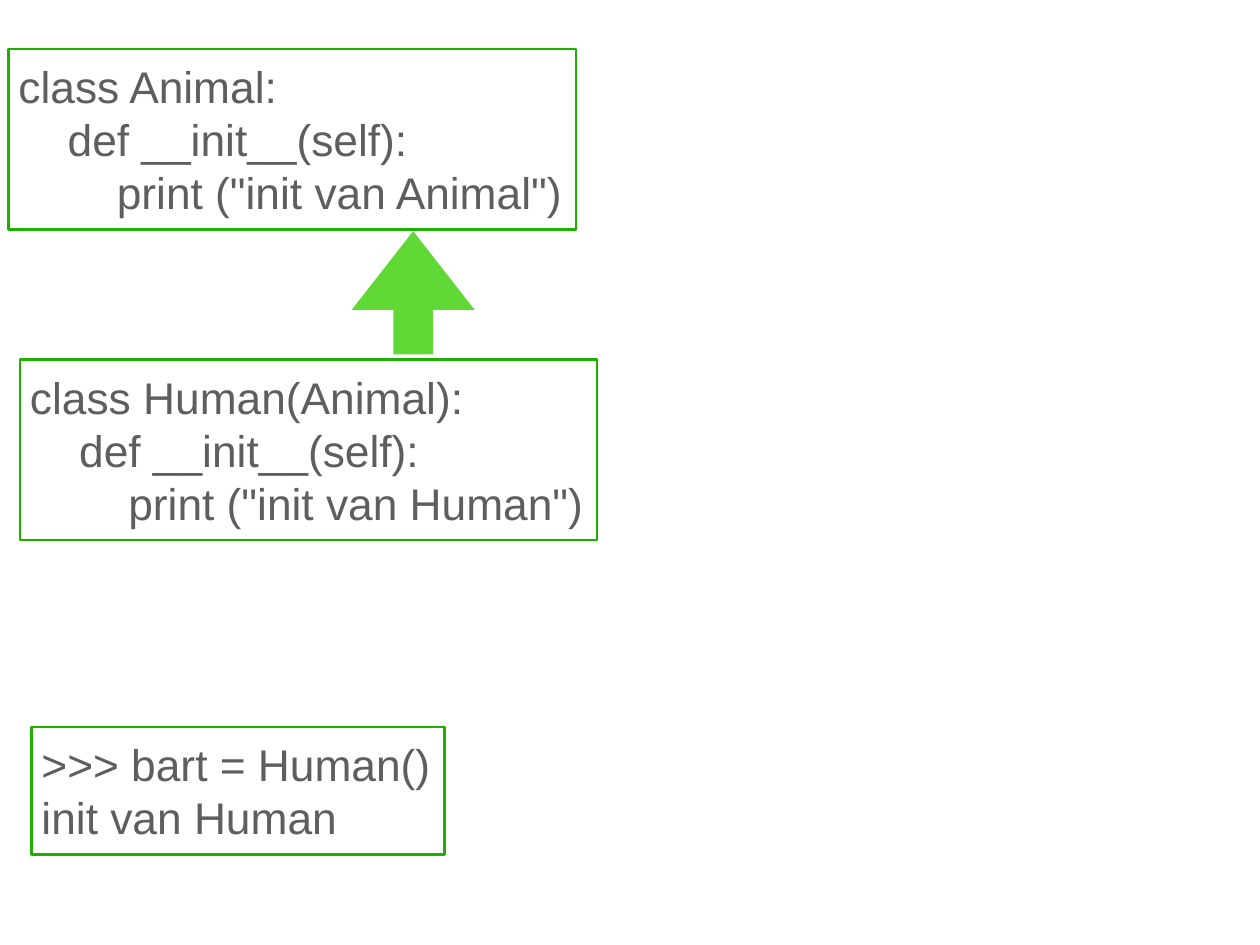
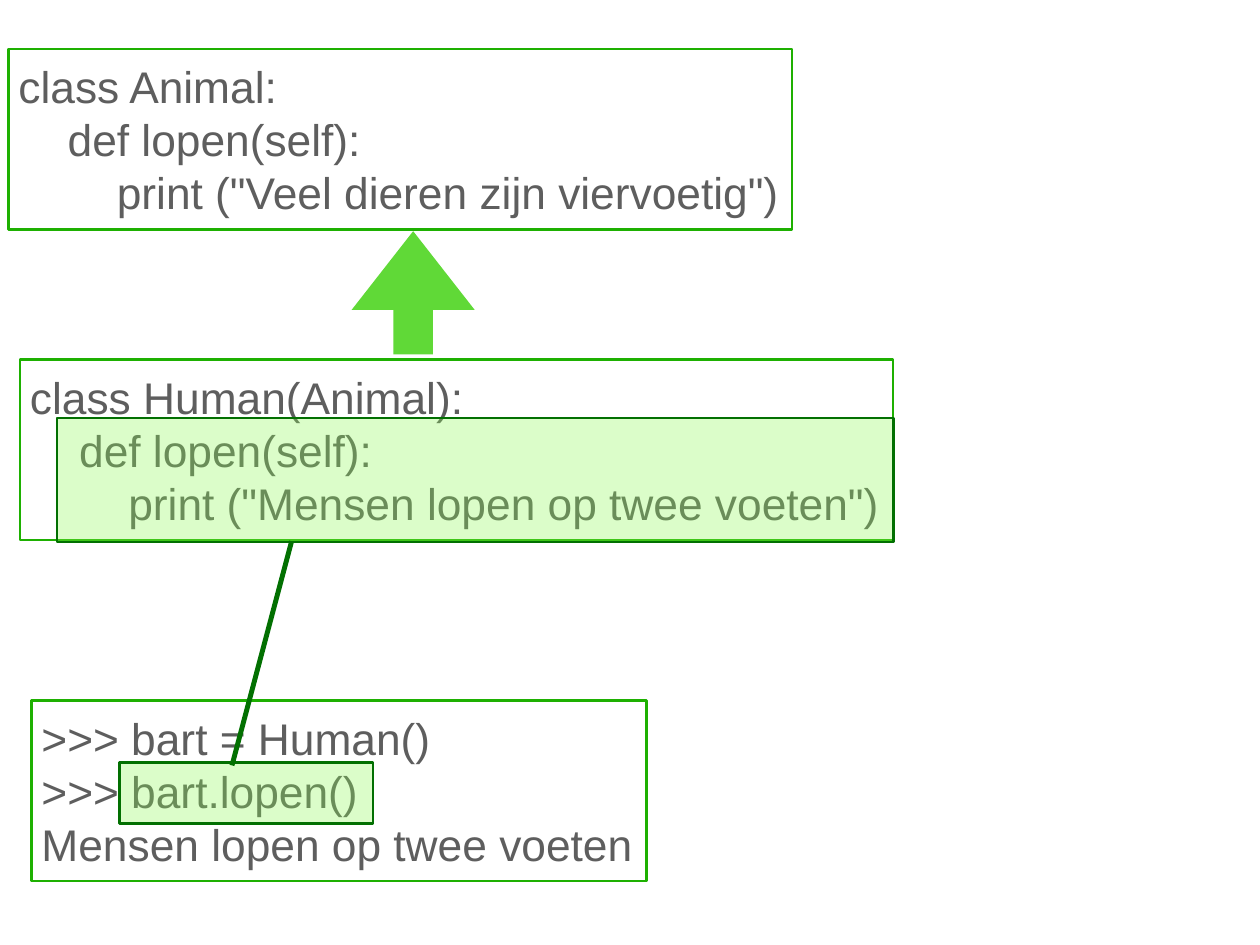
from dataclasses import dataclass

from lxml import etree
from pptx import Presentation
from pptx.dml.color import RGBColor
from pptx.enum import shapes, text
from pptx.oxml import ns
from pptx.shapes.autoshape import Shape
from pptx.slide import Slide
from pptx.util import Cm, Pt

BORDER_GREEN = RGBColor(0x1E, 0xB0, 0x01)
ARROW_GREEN = RGBColor(0x60, 0xD9, 0x37)
HIGHLIGHT_GREEN = RGBColor(0x89, 0xFA, 0x4E)
DARK_GREEN = RGBColor(0x02, 0x70, 0x01)
CODE_GRAY = RGBColor(0x5E, 0x5E, 0x5E)

FONT = "Arial"
INSET = Cm(0.28)
CODE_INDENT = Cm(1.41)
LINE_HEIGHT = 1.52
BOX_PADDING = 0.62


@dataclass(frozen=True)
class CodeLine:
    code: str
    level: int = 0


@dataclass(frozen=True)
class BoxPlace:
    left: float
    middle: float


@dataclass(frozen=True)
class CodeBox:
    place: BoxPlace
    width: float
    lines: tuple[CodeLine, ...]


@dataclass(frozen=True)
class Highlight:
    left: float
    top: float
    width: float
    height: float


@dataclass(frozen=True)
class Link:
    start_x: float
    start_y: float
    end_x: float
    end_y: float


@dataclass(frozen=True)
class InheritanceSlide:
    boxes: tuple[CodeBox, ...]
    highlights: tuple[Highlight, ...] = ()
    links: tuple[Link, ...] = ()


PARENT = BoxPlace(0.25, 3.99)
CHILD = BoxPlace(0.58, 12.9)
CONSOLE = BoxPlace(0.91, 22.68)


def class_lines(header: str, method: str, message: str) -> tuple[CodeLine, ...]:
    return (
        CodeLine(f"class {header}:"),
        CodeLine(f"def {method}(self):", 1),
        CodeLine(f'print ("{message}")', 2),
    )


SLIDES = (
    InheritanceSlide(
        boxes=(
            CodeBox(PARENT, 16.26, class_lines("Animal", "__init__", "init van Animal")),
            CodeBox(CONSOLE, 11.84, (
                CodeLine(">>> bart = Human()"),
                CodeLine("init van Human"),
            )),
            CodeBox(CHILD, 16.54, class_lines("Human(Animal)", "__init__", "init van Human")),
        ),
    ),
    InheritanceSlide(
        boxes=(
            CodeBox(PARENT, 22.45, class_lines("Animal", "lopen", "Veel dieren zijn viervoetig")),
            CodeBox(CONSOLE, 17.63, (
                CodeLine(">>> bart = Human()"),
                CodeLine(">>> bart.lopen()"),
                CodeLine("Mensen lopen op twee voeten"),
            )),
            CodeBox(CHILD, 25.02, class_lines("Human(Animal)", "lopen", "Mensen lopen op twee voeten")),
        ),
        highlights=(
            Highlight(1.63, 11.99, 23.98, 3.56),
            Highlight(3.43, 21.87, 7.26, 1.75),
        ),
        links=(Link(6.65, 21.95, 8.36, 15.52),),
    ),
)


def add_rectangle(
    slide: Slide, left: float, top: float, width: float, height: float, border: RGBColor
) -> Shape:
    shape = slide.shapes.add_shape(
        shapes.MSO_SHAPE.RECTANGLE, Cm(left), Cm(top), Cm(width), Cm(height)
    )
    shape.shadow.inherit = False
    shape.line.color.rgb = border
    shape.line.width = Pt(2)
    return shape


def add_code_box(slide: Slide, box: CodeBox) -> None:
    height = len(box.lines) * LINE_HEIGHT + BOX_PADDING
    top = box.place.middle - height / 2
    shape = add_rectangle(slide, box.place.left, top, box.width, height, BORDER_GREEN)
    shape.fill.background()
    frame = shape.text_frame
    frame.word_wrap = False
    frame.vertical_anchor = text.MSO_ANCHOR.MIDDLE
    frame.margin_left = frame.margin_right = INSET
    frame.margin_top = frame.margin_bottom = INSET
    for index, line in enumerate(box.lines):
        paragraph = frame.add_paragraph() if index else frame.paragraphs[0]
        paragraph.text = line.code
        paragraph.alignment = text.PP_ALIGN.LEFT
        paragraph.line_spacing = Pt(43.1)
        paragraph.font.name = FONT
        paragraph.font.size = Pt(36)
        paragraph.font.color.rgb = CODE_GRAY
        properties = paragraph._p.get_or_add_pPr()
        properties.set("marL", str(line.level * CODE_INDENT))
        properties.set("indent", "0")


def add_inheritance_arrow(slide: Slide) -> None:
    arrow = slide.shapes.add_shape(
        shapes.MSO_SHAPE.UP_ARROW, Cm(10.08), Cm(6.63), Cm(3.53), Cm(3.53)
    )
    arrow.adjustments[0] = 0.32
    arrow.adjustments[1] = 0.64
    arrow.shadow.inherit = False
    arrow.fill.solid()
    arrow.fill.fore_color.rgb = ARROW_GREEN
    arrow.line.fill.background()


def add_highlight(slide: Slide, area: Highlight) -> None:
    shape = add_rectangle(slide, area.left, area.top, area.width, area.height, DARK_GREEN)
    shape.fill.solid()
    shape.fill.fore_color.rgb = HIGHLIGHT_GREEN
    color = shape._element.spPr.find(ns.qn("a:solidFill")).find(ns.qn("a:srgbClr"))
    etree.SubElement(color, ns.qn("a:alpha")).set("val", "30000")


def add_link(slide: Slide, link: Link) -> None:
    connector = slide.shapes.add_connector(
        shapes.MSO_CONNECTOR.STRAIGHT,
        Cm(link.start_x), Cm(link.start_y), Cm(link.end_x), Cm(link.end_y),
    )
    connector.line.color.rgb = DARK_GREEN
    connector.line.width = Pt(4)
    etree.SubElement(connector._element.spPr, ns.qn("a:effectLst"))


def main() -> None:
    presentation = Presentation()
    presentation.slide_width = Cm(36.12)
    presentation.slide_height = Cm(27.1)
    blank_layout = presentation.slide_layouts[6]
    for content in SLIDES:
        slide = presentation.slides.add_slide(blank_layout)
        for box in content.boxes:
            add_code_box(slide, box)
        add_inheritance_arrow(slide)
        for area in content.highlights:
            add_highlight(slide, area)
        for link in content.links:
            add_link(slide, link)
    presentation.save("out.pptx")


if __name__ == "__main__":
    main()
